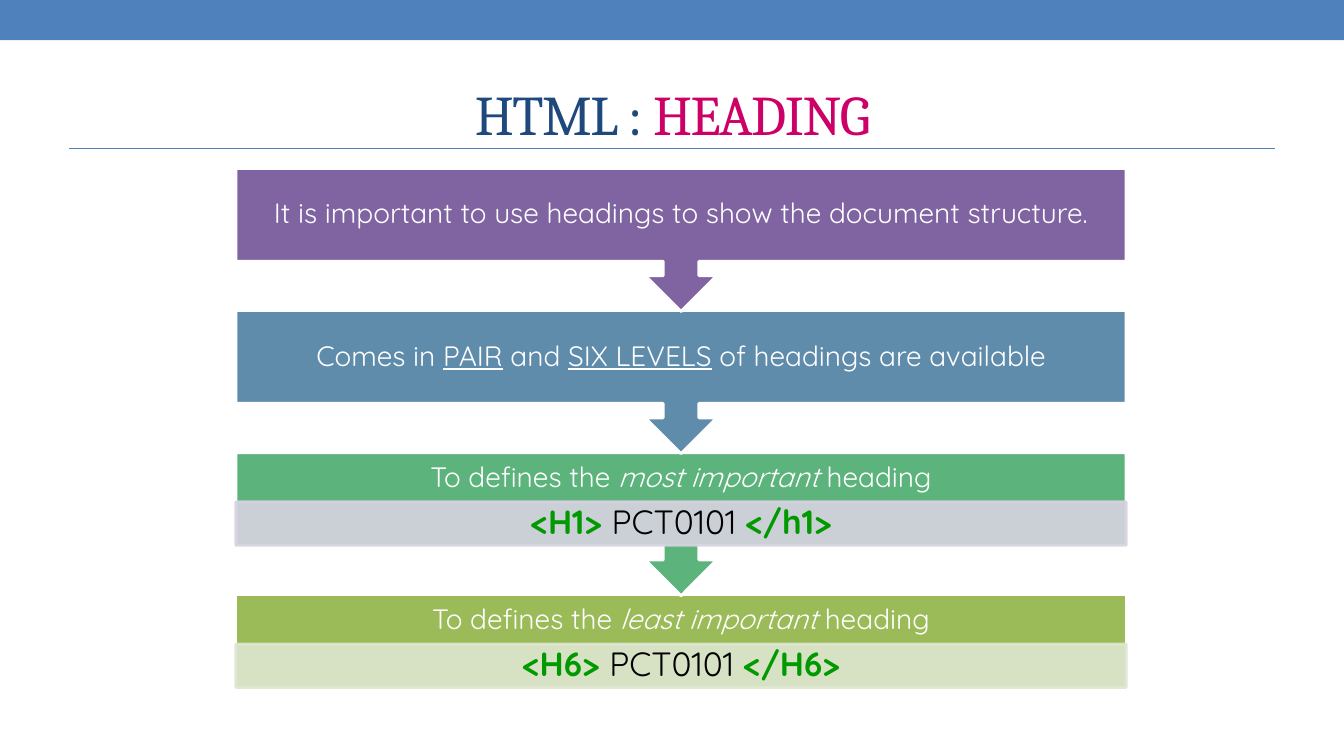
from dataclasses import dataclass

from pptx import Presentation
from pptx import util as u
from pptx.dml.color import RGBColor
from pptx.enum import shapes, text
from pptx.oxml.ns import qn
from lxml import etree


@dataclass(frozen=True)
class Theme:
    accent: str = "4F81BD"
    navy: str = "1F497D"
    pink: str = "CC0066"
    white: str = "FFFFFF"
    black: str = "000000"
    tag: str = "009900"
    title_font: str = "Cambria"
    body_font: str = "Quicksand"
    title_size: float = 40
    label_size: float = 20
    code_size: float = 24
    border: float = 2.08
    rule: float = 0.75


THEME = Theme()
LEFT, WIDTH = 2.34, 8.83
FIRST_TOP, PITCH = 1.67, 1.41
BODY_HEIGHT, CALLOUT_HEIGHT = 0.92, 1.42
LABEL_HEIGHT, CODE_HEIGHT = 0.5, 0.43

STEPS = [
    ("8064A2", [("It is important to use headings to show the document structure.", "")], None, None),
    ("608CAB", [("Comes in ", ""), ("PAIR", "u"), (" and ", ""), ("SIX LEVELS", "u"),
                (" of headings are available", "")], None, None),
    ("5CB37C", [("To defines the ", ""), ("most important ", "i"), ("heading", "")],
     "D8D3E0", ("<H1> ", "PCT0101 ", "</h1>")),
    ("9BBB59", [("To defines the ", ""), ("least important ", "i"), ("heading", "")],
     "DEE7D1", ("<H6> ", "PCT0101 ", "</H6>")),
]


def color(value):
    return RGBColor.from_string(value)


def add_block(slide, kind, box, fill, border=None):
    block = slide.shapes.add_shape(kind, *map(u.Inches, box))
    block.shadow.inherit = False
    block.fill.solid()
    block.fill.fore_color.rgb = color(fill)
    if border:
        block.line.color.rgb = color(border)
        block.line.width = u.Pt(THEME.border)
    else:
        block.line.fill.background()
    return block


def make_translucent(block, percent):
    for value in block.element.spPr.iter(qn("a:srgbClr")):
        etree.SubElement(value, qn("a:alpha"), val=str(percent * 1000))


def write(frame, pieces, font, size, spacing=0.9):
    frame.word_wrap = True
    frame.vertical_anchor = text.MSO_ANCHOR.MIDDLE
    line = frame.paragraphs[0]
    line.alignment = text.PP_ALIGN.CENTER
    line.line_spacing = spacing
    line.font.name = font
    line.font.size = u.Pt(size)
    for words, tint, style in pieces:
        run = line.add_run()
        run.text = words
        run.font.color.rgb = color(tint)
        if "b" in style:
            run.font.bold = True
        if "i" in style:
            run.font.italic = True
        if "u" in style:
            run.font.underline = True
    return line


def set_margins(frame, side, top, bottom):
    frame.margin_left = frame.margin_right = u.Inches(side)
    frame.margin_top, frame.margin_bottom = u.Inches(top), u.Inches(bottom)


def add_header(slide):
    add_block(slide, shapes.MSO_SHAPE.RECTANGLE, (0, 0, 13.33, 0.4), THEME.accent)
    rule = slide.shapes.add_connector(
        shapes.MSO_CONNECTOR.STRAIGHT, *map(u.Inches, (0.68, 1.47, 12.65, 1.47)))
    rule.line.color.rgb = color(THEME.accent)
    rule.line.width = u.Pt(THEME.rule)
    etree.SubElement(rule.element.spPr, qn("a:effectLst"))

    title = slide.shapes.title
    title.left, title.top, title.width, title.height = map(u.Inches, (0.67, 0.58, 12, 1.08))
    heading = write(title.text_frame, [("HTML : ", THEME.navy, ""), ("HEADING", THEME.pink, "")],
                    THEME.title_font, THEME.title_size, 1.0)
    for run in heading.runs:
        run.font._element.set("spc", "-100")


def add_step(slide, top, kind, height, fill, label, code_fill, code):
    step = add_block(slide, kind, (LEFT, top, WIDTH, height), fill, THEME.white)
    spare = BODY_HEIGHT - LABEL_HEIGHT if code else 0
    set_margins(step.text_frame, 0.16, 0, spare)
    write(step.text_frame, [(words, THEME.white, style) for words, style in label],
          THEME.body_font, THEME.label_size)
    if code:
        strip = add_block(slide, shapes.MSO_SHAPE.RECTANGLE,
                          (LEFT, top + LABEL_HEIGHT - 0.01, WIDTH, CODE_HEIGHT),
                          code_fill, code_fill)
        make_translucent(strip, 90)
        set_margins(strip.text_frame, 0.19, 0.03, 0.03)
        looks = [(THEME.tag, "b"), (THEME.black, ""), (THEME.tag, "b")]
        write(strip.text_frame, [(words, *look) for words, look in zip(code, looks)],
              THEME.body_font, THEME.code_size)


def main():
    deck = Presentation()
    deck.slide_width, deck.slide_height = u.Inches(13.33), u.Inches(7.5)
    slide = deck.slides.add_slide(deck.slide_layouts[5])
    add_header(slide)
    last = len(STEPS) - 1
    for index, step in reversed(list(enumerate(STEPS))):
        if index == last:
            kind, height = shapes.MSO_SHAPE.RECTANGLE, BODY_HEIGHT
        else:
            kind, height = shapes.MSO_SHAPE.DOWN_ARROW_CALLOUT, CALLOUT_HEIGHT
        add_step(slide, FIRST_TOP + index * PITCH, kind, height, *step)
    deck.save("out.pptx")


if __name__ == "__main__":
    main()
